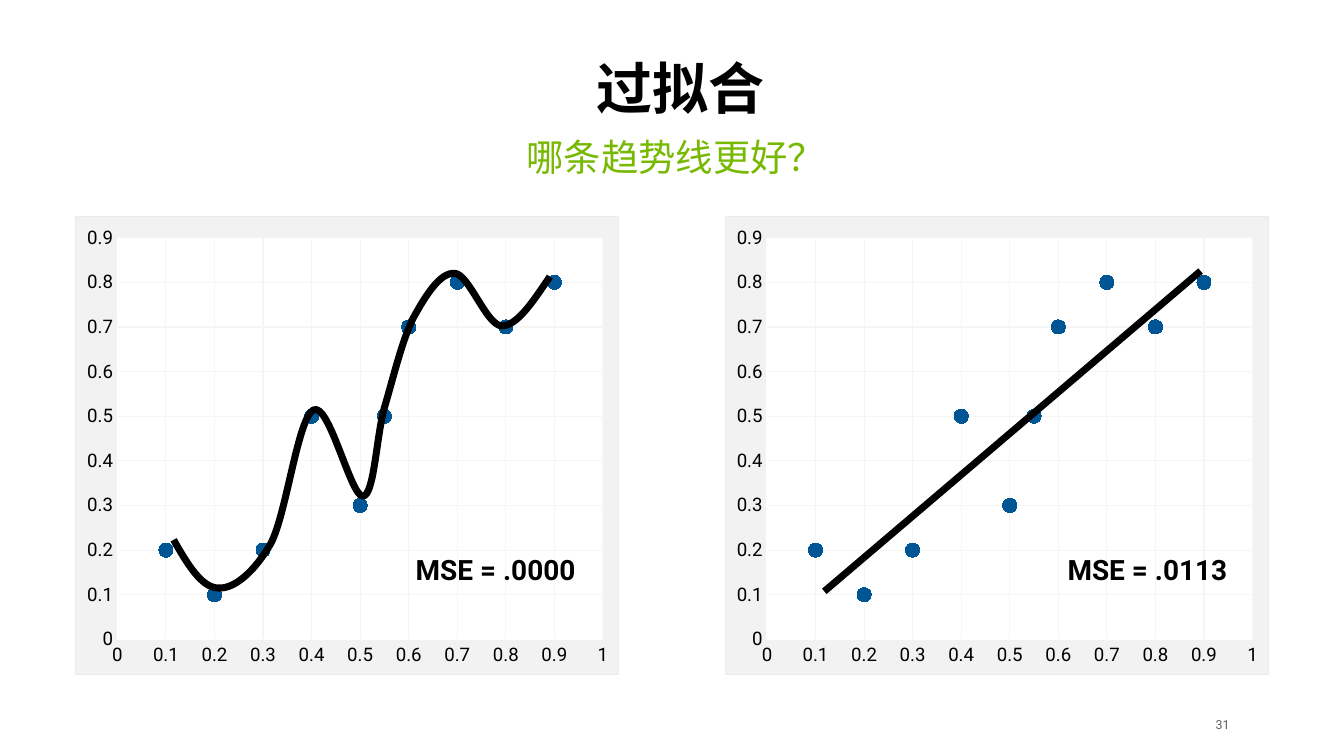
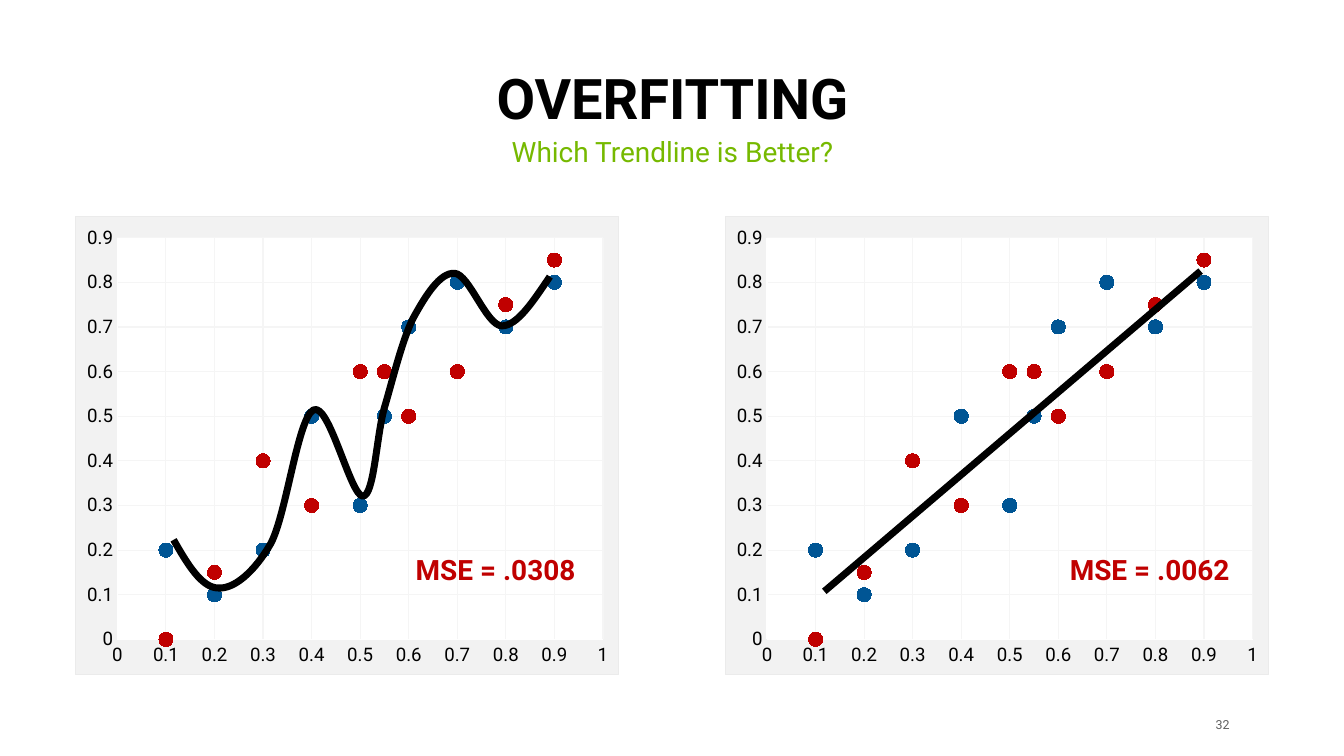
from dataclasses import dataclass

from lxml import etree
from pptx import Presentation
from pptx import util as u
from pptx.chart.data import XyChartData
from pptx.dml.color import RGBColor
from pptx.enum import chart as ch, shapes, text
from pptx.oxml import parse_xml
from pptx.oxml.ns import nsdecls, qn


@dataclass(frozen=True)
class Theme:
    font: str = "Roboto"
    ink: str = "000000"
    green: str = "76B900"
    blue: str = "005594"
    red: str = "C00000"
    grey: str = "5E5E5E"
    white: str = "FFFFFF"
    panel: str = "F2F2F2"
    panel_edge: str = "EBEBEB"
    grid: str = "F5F5F5"
    title_size: int = 36
    mse_size: int = 18
    axis_size: int = 12
    chart_size: int = 10
    page_size: int = 8
    trend_width: float = 4.5
    hairline: float = 0.75


THEME = Theme()

# Shared layout, in inches
CHART_LEFTS = (0.67, 6.47)
CHART_TOP, CHART_W, CHART_H = 1.93, 4.86, 4.1
PLOT_LAYOUT = {"x": 0.077, "y": 0.046, "w": 0.894, "h": 0.877}
HEADING_W = 10.91

# Observations: both sets share the same x values
X_VALUES = (0.1, 0.2, 0.3, 0.4, 0.5, 0.6, 0.55, 0.7, 0.8, 0.9)
TRAINING = ("Series 1", THEME.blue,
            (0.2, 0.1, 0.2, 0.5, 0.3, 0.7, 0.5, 0.8, 0.7, 0.8))
TESTING = ("Series 2", THEME.red,
           (0, 0.15, 0.4, 0.3, 0.6, 0.5, 0.6, 0.6, 0.75, 0.85))

# Overfitted curve: start, then (control, control, end) for each bend
CURVE_START = (1.55, 4.82)
CURVE_BENDS = (
    ((1.67, 5.03), (1.8, 5.25), (1.95, 5.25)),
    ((2.09, 5.26), (2.27, 5.11), (2.42, 4.85)),
    ((2.56, 4.58), (2.66, 3.73), (2.8, 3.66)),
    ((2.94, 3.59), (3.13, 4.43), (3.24, 4.43)),
    ((3.34, 4.43), (3.36, 3.91), (3.43, 3.65)),
    ((3.51, 3.38), (3.59, 3.04), (3.69, 2.84)),
    ((3.8, 2.64), (3.93, 2.43), (4.06, 2.44)),
    ((4.19, 2.45), (4.34, 2.9), (4.48, 2.91)),
    ((4.62, 2.91), (4.76, 2.69), (4.91, 2.47)),
)
FIT_START, FIT_END = (7.36, 5.28), (10.72, 2.42)


def rgb(value):
    return RGBColor.from_string(value)


def set_font(font, size, color, bold=False):
    font.name, font.size, font.bold = THEME.font, u.Pt(size), bold
    font.color.rgb = rgb(color)


def set_line(line, color, width):
    line.color.rgb = rgb(color)
    line.width = u.Pt(width)


def write(frame, words, *, size, color, bold=False, spacing=0.9, side_inset=0.1,
          align=text.PP_ALIGN.CENTER, anchor=text.MSO_ANCHOR.MIDDLE):
    frame.word_wrap = True
    frame.auto_size = text.MSO_AUTO_SIZE.NONE
    frame.vertical_anchor = anchor
    frame.margin_left = frame.margin_right = u.Inches(side_inset)
    paragraph = frame.paragraphs[0]
    paragraph.alignment = align
    paragraph.line_spacing = spacing
    run = paragraph.add_run()
    run.text = words
    set_font(run.font, size, color, bold)


def add_text(slide, words, left, top, width, height, **style):
    box = slide.shapes.add_textbox(*map(u.Inches, (left, top, width, height)))
    write(box.text_frame, words, **style)


def add_title(slide, words, left, top):
    title = slide.shapes.title
    title.left, title.top = u.Inches(left), u.Inches(top)
    title.width, title.height = u.Inches(HEADING_W), u.Inches(0.65)
    write(title.text_frame, words, size=THEME.title_size, color=THEME.ink,
          bold=True, anchor=text.MSO_ANCHOR.BOTTOM)


def area_format(fill, edge=None):
    """Chart area formatting, which has no public method."""
    outline = (f'<a:ln w="{u.Pt(THEME.hairline)}"><a:solidFill>'
               f'<a:srgbClr val="{edge}"/></a:solidFill></a:ln>'
               if edge else "<a:ln><a:noFill/></a:ln>")
    return parse_xml(
        f'<c:spPr {nsdecls("c", "a")}><a:solidFill><a:srgbClr val="{fill}"/>'
        f'</a:solidFill>{outline}</c:spPr>')


def place_plot(plot_area):
    """Fix the inner plot rectangle as fractions of the chart."""
    for automatic in plot_area.findall(qn("c:layout")):
        plot_area.remove(automatic)
    modes = '<c:xMode val="edge"/><c:yMode val="edge"/>'
    sizes = "".join(f'<c:{k} val="{v}"/>' for k, v in PLOT_LAYOUT.items())
    plot_area.insert(0, parse_xml(
        f'<c:layout {nsdecls("c")}><c:manualLayout><c:layoutTarget val="inner"/>'
        f'{modes}{sizes}</c:manualLayout></c:layout>'))


def format_axis(axis, maximum):
    axis.minimum_scale, axis.maximum_scale, axis.major_unit = 0, maximum, 0.1
    axis.major_tick_mark = axis.minor_tick_mark = ch.XL_TICK_MARK.NONE
    axis.has_major_gridlines = True
    set_line(axis.major_gridlines.format.line, THEME.grid, THEME.hairline)
    set_line(axis.format.line, THEME.white, THEME.hairline)
    set_font(axis.tick_labels.font, THEME.axis_size, THEME.ink)


def add_scatter(slide, left, observations):
    data = XyChartData()
    for name, _, values in observations:
        series = data.add_series(name)
        for x, y in zip(X_VALUES, values):
            series.add_data_point(x, y)
    box = map(u.Inches, (left, CHART_TOP, CHART_W, CHART_H))
    chart = slide.shapes.add_chart(ch.XL_CHART_TYPE.XY_SCATTER, *box, data).chart
    chart.has_title = chart.has_legend = False
    set_font(chart.font, THEME.chart_size, THEME.ink)
    format_axis(chart.category_axis, 1)
    format_axis(chart.value_axis, 0.9)

    # Points only, one colour per set
    plot = chart.plots[0]
    plot.vary_by_categories = False
    for series, (_, color, _) in zip(plot.series, observations):
        series.format.line.fill.background()
        marker = series.marker
        marker.style, marker.size = ch.XL_MARKER_STYLE.CIRCLE, 9
        marker.format.fill.solid()
        marker.format.fill.fore_color.rgb = rgb(color)
        set_line(marker.format.line, color, THEME.hairline)

    # Grey panel with a white plot
    chart_body = chart.element.find(qn("c:chart"))
    chart_body.addnext(area_format(THEME.panel, THEME.panel_edge))
    plot_area = chart_body.find(qn("c:plotArea"))
    place_plot(plot_area)
    plot_area.append(area_format(THEME.white))


def add_straight_fit(slide):
    ends = map(u.Inches, FIT_START + FIT_END)
    fit = slide.shapes.add_connector(shapes.MSO_CONNECTOR.STRAIGHT, *ends)
    set_line(fit.line, THEME.ink, THEME.trend_width)
    etree.SubElement(fit.element.spPr, qn("a:effectLst"))


def add_curved_fit(slide):
    builder = slide.shapes.build_freeform(*map(u.Inches, CURVE_START))
    builder.add_line_segments(
        [tuple(map(u.Inches, bend[-1])) for bend in CURVE_BENDS], close=False)
    curve = builder.convert_to_shape()
    curve.shadow.inherit = False
    curve.fill.background()
    set_line(curve.line, THEME.ink, THEME.trend_width)

    # Bend each straight segment with its two control points
    segments = list(curve.element.iter(qn("a:lnTo")))
    for segment, bend in zip(segments, CURVE_BENDS):
        bezier = etree.Element(qn("a:cubicBezTo"))
        for x, y in bend:
            etree.SubElement(bezier, qn("a:pt"),
                             x=str(u.Inches(x) - curve.left),
                             y=str(u.Inches(y) - curve.top))
        segment.getparent().replace(segment, bezier)


def add_comparison(prs, page, *, title, title_at, subtitle, subtitle_left,
                   subtitle_size, observations, errors, error_lefts, error_color):
    slide = prs.slides.add_slide(prs.slide_layouts[5])

    # Heading and page number
    add_title(slide, title, *title_at)
    add_text(slide, subtitle, subtitle_left, 1.19, HEADING_W, 0.57,
             size=subtitle_size, color=THEME.green, anchor=text.MSO_ANCHOR.TOP)
    add_text(slide, str(page), 10.68, 6.38, 0.3, 0.18, size=THEME.page_size,
             color=THEME.grey, align=text.PP_ALIGN.RIGHT, spacing=1, side_inset=0)

    # Charts with their errors
    for chart_left, error, error_left in zip(CHART_LEFTS, errors, error_lefts):
        add_scatter(slide, chart_left, observations)
        add_text(slide, f"MSE = {error}", error_left, 4.92, 1.65, 0.37,
                 size=THEME.mse_size, color=error_color, bold=True, side_inset=0)

    # Trend lines
    add_straight_fit(slide)
    add_curved_fit(slide)


def main():
    prs = Presentation()
    prs.slide_width, prs.slide_height = u.Inches(12), u.Inches(6.75)

    add_comparison(prs, 31, title="过拟合", title_at=(0.62, 0.49),
                   subtitle="哪条趋势线更好？", subtitle_left=0.58, subtitle_size=24,
                   observations=[TRAINING], errors=(".0000", ".0113"),
                   error_lefts=(3.6, 9.42), error_color=THEME.ink)
    add_comparison(prs, 32, title="OVERFITTING", title_at=(0.55, 0.58),
                   subtitle="Which Trendline is Better?", subtitle_left=0.55,
                   subtitle_size=18, observations=[TRAINING, TESTING],
                   errors=(".0308", ".0062"), error_lefts=(3.6, 9.44),
                   error_color=THEME.red)

    prs.save("out.pptx")


if __name__ == "__main__":
    main()
